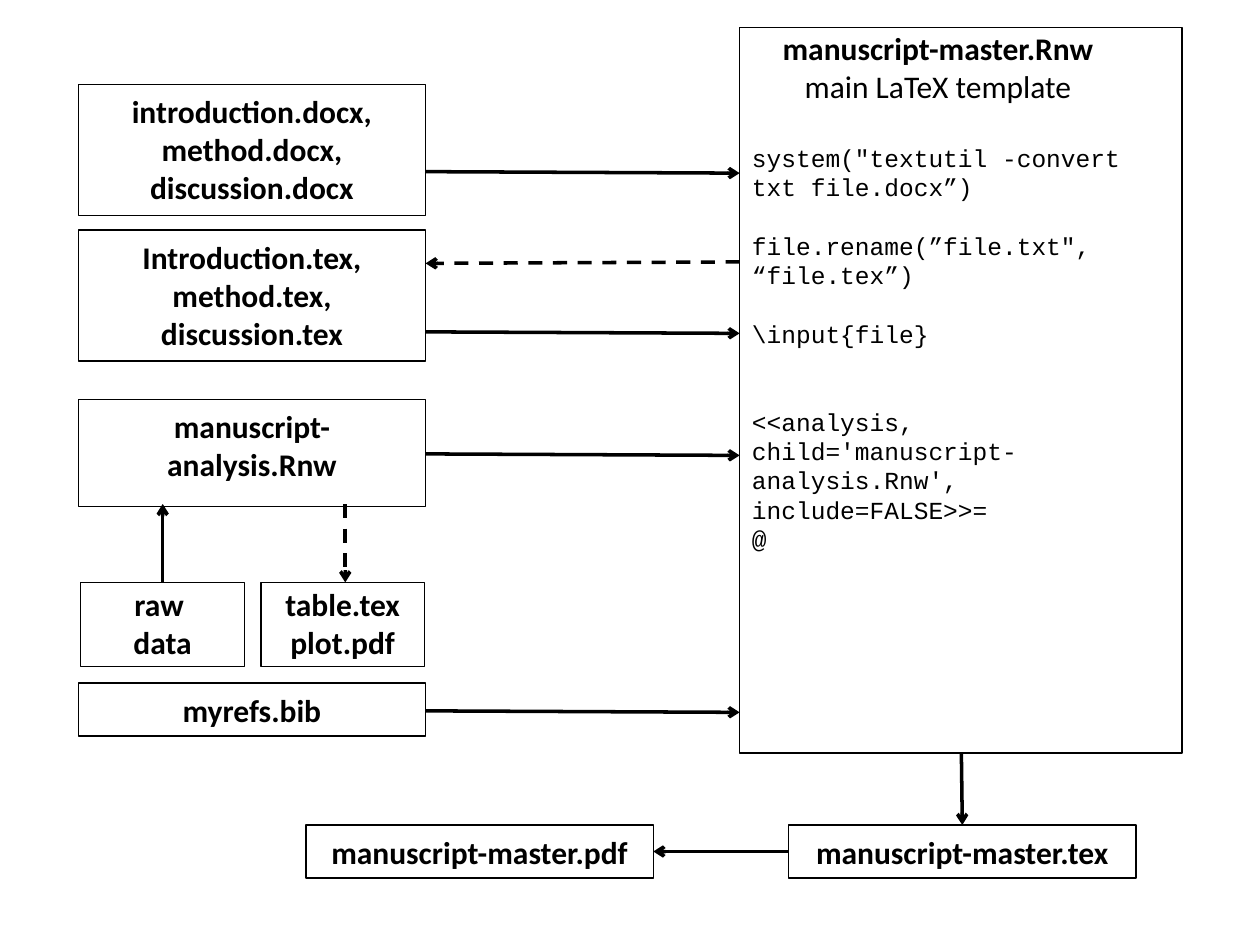
import pptx
import pptx.util
import pptx.dml.color
import pptx.enum.dml
import pptx.enum.shapes
import pptx.enum.text
import pptx.oxml
import pptx.oxml.ns

Cm, Pt = pptx.util.Cm, pptx.util.Pt
BLACK = pptx.dml.color.RGBColor(0, 0, 0)
WHITE = pptx.dml.color.RGBColor(255, 255, 255)
ALIGN = pptx.enum.text.PP_ALIGN

# Shared measures, in cm
FILE_W, FILE_LEFT = 7.0, 1.58
LINE_H = 1.07            # box holding one line
MASTER_LEFT, MASTER_TOP, MASTER_W, MASTER_H = 14.91, 0.55, 8.92, 14.63
FILE_RIGHT = FILE_LEFT + FILE_W
OUTPUT_TOP = 16.63
CODE_LINE = 16.75        # height of a line of code, in points


def add_box(slide, left, top, width, height, side=0.25, right=None, above=0.16):
    """White outlined box; returns its empty text frame."""
    box = slide.shapes.add_shape(pptx.enum.shapes.MSO_SHAPE.RECTANGLE,
                                 Cm(left), Cm(top), Cm(width), Cm(height))
    box.shadow.inherit = False
    box.fill.solid()
    box.fill.fore_color.rgb = WHITE
    box.line.color.rgb = BLACK
    box.line.width = Pt(0.75)
    frame = box.text_frame
    frame.word_wrap = True
    frame.vertical_anchor = pptx.enum.text.MSO_ANCHOR.TOP
    frame.margin_left = Cm(side)
    frame.margin_right = Cm(side if right is None else right)
    frame.margin_top, frame.margin_bottom = Cm(above), 0
    return frame


def format_paragraph(paragraph, size=18, font="Calibri", bold=True,
                     align=ALIGN.CENTER, before=0):
    paragraph.alignment = align
    paragraph.space_before = Pt(before)
    for run in paragraph.runs:
        run.font.name = font
        run.font.size = Pt(size)
        run.font.bold = bold
        run.font.color.rgb = BLACK


def add_file(slide, label, left, top, width=FILE_W, height=LINE_H, **insets):
    """Box naming one or more files."""
    frame = add_box(slide, left, top, width, height, **insets)
    frame.text = label
    for paragraph in frame.paragraphs:
        format_paragraph(paragraph)


def add_master(slide, left, top, width, height):
    """Main template: heading, then code with gaps before each step."""
    frame = add_box(slide, left, top, width, height, right=1.17, above=0.03)
    steps = [
        ('system("textutil -convert txt file.docx”)', 22),
        ('file.rename(”file.txt", “file.tex”)', CODE_LINE),
        ("\\input{file}", CODE_LINE),
        ("<<analysis, child='manuscript-analysis.Rnw', include=FALSE>>=", 2 * CODE_LINE),
        ("@", 0),
    ]
    headings = ["manuscript-master.Rnw", "main LaTeX template"]
    frame.text = "\n".join(headings + [code for code, gap in steps])
    name, role, *code_lines = frame.paragraphs
    format_paragraph(name)
    format_paragraph(role, bold=False)
    for paragraph, (code, gap) in zip(code_lines, steps):
        format_paragraph(paragraph, 14, "Courier New", False, ALIGN.LEFT, gap)
        paragraph.line_spacing = Pt(CODE_LINE)


def add_arrow(slide, x1, y1, x2, y2, dashed=False):
    arrow = slide.shapes.add_connector(pptx.enum.shapes.MSO_CONNECTOR.STRAIGHT,
                                       Cm(x1), Cm(y1), Cm(x2), Cm(y2))
    arrow.line.color.rgb = BLACK
    arrow.line.width = Pt(2)
    if dashed:
        arrow.line.dash_style = pptx.enum.dml.MSO_LINE.DASH
    head = pptx.oxml.parse_xml(
        '<a:tailEnd %s type="arrow"/>' % pptx.oxml.ns.nsdecls("a"))
    arrow.line._get_or_add_ln().append(head)
    arrow._element.spPr.append(pptx.oxml.parse_xml(
        "<a:effectLst %s/>" % pptx.oxml.ns.nsdecls("a")))


def add_sources(slide, left):
    """Column of input files."""
    for label, top in [("introduction.docx, method.docx, discussion.docx", 1.7),
                       ("Introduction.tex, method.tex, discussion.tex", 4.64)]:
        add_file(slide, label, left, top, height=2.64, side=0.57)
    add_file(slide, "manuscript-analysis.Rnw", left, 8.05, height=2.16)
    for label, offset in [("raw \ndata", 0.05), ("table.tex\nplot.pdf", 3.68)]:
        add_file(slide, label, left + offset, 11.74, 3.3, 1.7, above=0.05)
    add_file(slide, "myrefs.bib", left, 13.77)


def add_outputs(slide, top):
    """Compiled files along the bottom."""
    add_file(slide, "manuscript-master.tex", 15.9, top)
    add_file(slide, "manuscript-master.pdf", 6.17, top)


def add_flow(slide):
    """Solid arrows read a file, dashed arrows write one."""
    for y in (3.46, 6.69, 9.15, 14.33):
        add_arrow(slide, FILE_RIGHT, y, MASTER_LEFT, y + 0.03)
    add_arrow(slide, MASTER_LEFT, 5.28, FILE_RIGHT, 5.31, dashed=True)
    add_arrow(slide, 3.28, 11.74, 3.28, 10.16)
    add_arrow(slide, 6.96, 10.16, 6.96, 11.74, dashed=True)
    add_arrow(slide, 19.38, MASTER_TOP + MASTER_H, 19.4, OUTPUT_TOP)
    output_middle = OUTPUT_TOP + LINE_H / 2
    add_arrow(slide, 15.9, output_middle, 6.17 + FILE_W, output_middle)


presentation = pptx.Presentation()
presentation.slide_width, presentation.slide_height = Cm(25.4), Cm(19.05)
workflow = presentation.slides.add_slide(presentation.slide_layouts[6])
add_master(workflow, MASTER_LEFT, MASTER_TOP, MASTER_W, MASTER_H)
add_sources(workflow, FILE_LEFT)
add_outputs(workflow, OUTPUT_TOP)
add_flow(workflow)
presentation.save("out.pptx")
